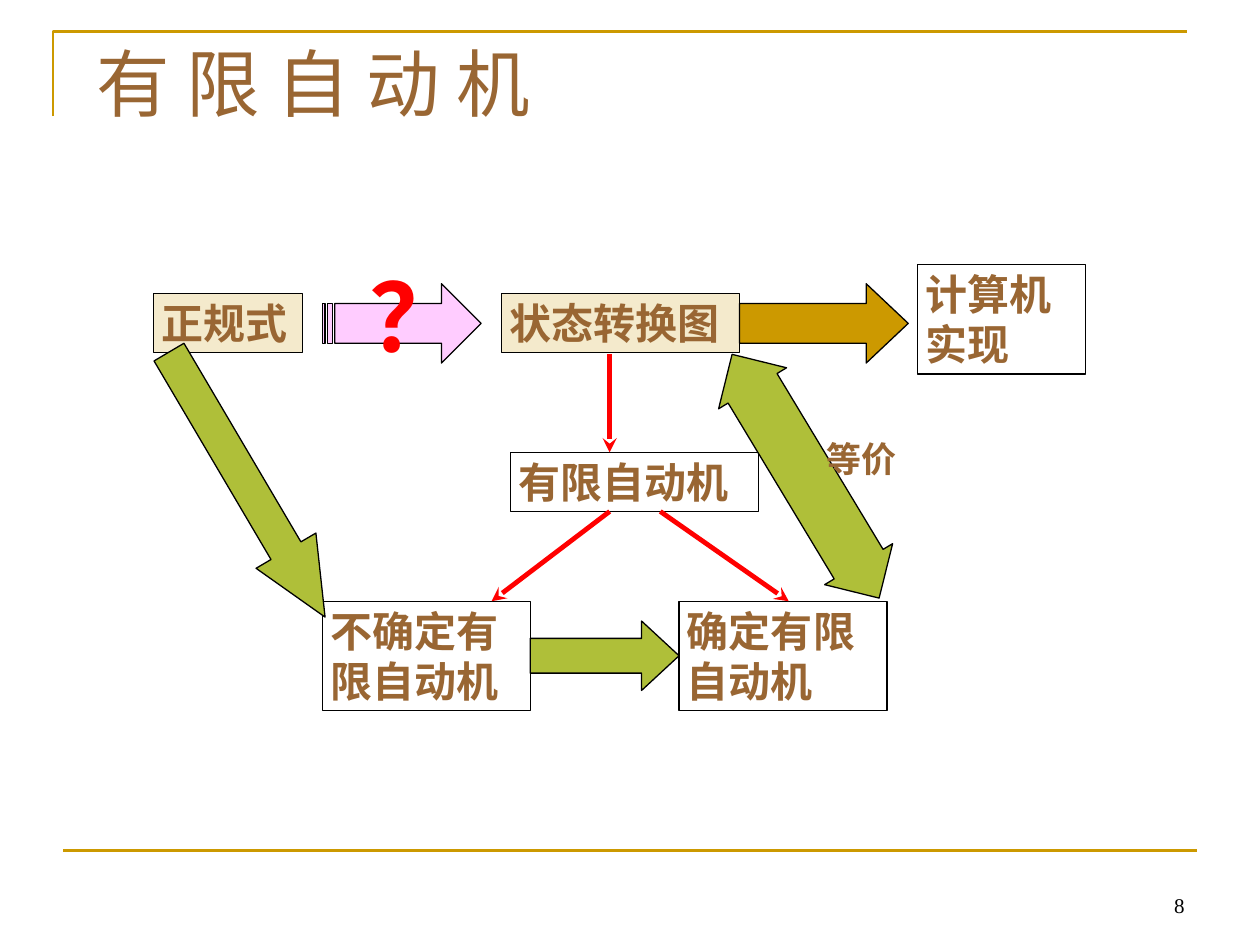
"""Build a slide on how finite automata link regular expressions to code."""
from dataclasses import dataclass

from lxml.etree import SubElement
from pptx import Presentation
from pptx.dml.color import RGBColor
from pptx.enum.shapes import MSO_CONNECTOR, MSO_SHAPE
from pptx.enum.text import MSO_ANCHOR, PP_ALIGN
from pptx.oxml.ns import qn
from pptx.util import Cm, Pt


@dataclass(frozen=True)
class Theme:
    """Hold the colours, fonts and sizes of the slide."""
    gold: str = "CC9900"
    brown: str = "996633"
    green: str = "AFBF39"
    pink: str = "FF00FF"
    red: str = "FF0000"
    black: str = "000000"
    sans: str = "Lato"
    serif: str = "Times New Roman"
    title: float = 42
    query: float = 54
    body: float = 24
    label: float = 20
    number: float = 12
    edge: float = 0.75
    rule: float = 1.5
    link: float = 2.75


THEME = Theme()
TIGHT = {"margin_left": Cm(0.16), "margin_right": Cm(0.16),
         "margin_top": Cm(0.08), "margin_bottom": Cm(0.08)}


def apply(target, values):
    """Set each attribute of target from a dict."""
    for name, value in values.items():
        setattr(target, name, value)


def stroke(line, color, width):
    """Give a line its colour and width."""
    line.color.rgb = RGBColor.from_string(color)
    line.width = Pt(width)


def paint(shape, color, alpha=None):
    """Fill a shape with a colour, which may be see-through, or with none."""
    shape.shadow.inherit = False
    if color is None:
        shape.fill.background()
        return
    shape.fill.solid()
    shape.fill.fore_color.rgb = RGBColor.from_string(color)
    if alpha:
        tint = shape.element.spPr.find(".//" + qn("a:srgbClr"))
        SubElement(tint, qn("a:alpha"), val=str(alpha * 1000))


def write(shape, text, font, frame=TIGHT, align=PP_ALIGN.LEFT):
    """Put formatted text in a shape."""
    body = shape.text_frame
    apply(body, {"word_wrap": True, "vertical_anchor": MSO_ANCHOR.TOP, **frame})
    para = body.paragraphs[0]
    para.text = text
    para.alignment = align
    values = {"name": THEME.sans, "bold": True, "color": THEME.brown, **font}
    para.font.color.rgb = RGBColor.from_string(values.pop("color"))
    apply(para.font, {**values, "size": Pt(values["size"])})


def add_text(slide, place, text, font, **layout):
    """Add a plain text box."""
    box = slide.shapes.add_textbox(*map(Cm, place))
    write(box, text, font, **layout)


def add_box(slide, place, text, fill=None):
    """Add a framed box with a term in it."""
    box = slide.shapes.add_shape(MSO_SHAPE.RECTANGLE, *map(Cm, place))
    paint(box, fill, 20)
    stroke(box.line, THEME.black, THEME.edge)
    write(box, text, {"size": THEME.body})


def add_arrow(slide, kind, place, fill, head, turn=0, alpha=None):
    """Add a block arrow with a given head length and turn."""
    arrow = slide.shapes.add_shape(kind, *map(Cm, place))
    paint(arrow, fill, alpha)
    stroke(arrow.line, THEME.black, THEME.edge)
    arrow.adjustments[0] = 0.5
    arrow.adjustments[1] = head
    arrow.rotation = turn


def add_line(slide, ends, color, width, head=None):
    """Add a straight line, with an arrowhead if one is named."""
    line = slide.shapes.add_connector(MSO_CONNECTOR.STRAIGHT, *map(Cm, ends))
    stroke(line.line, color, width)
    if head:
        SubElement(line.line._get_or_add_ln(), qn("a:tailEnd"), type=head)
    SubElement(line.element.spPr, qn("a:effectLst"))


def add_frame(slide):
    """Add the corner rule at the top and the rule at the foot."""
    start, *rest = [(Cm(x), Cm(y)) for x, y in
                    ((1.07, 2.34), (1.07, 0.64), (23.93, 0.64))]
    path = slide.shapes.build_freeform(*start)
    path.add_line_segments(rest, close=False)
    corner = path.convert_to_shape()
    paint(corner, None)
    stroke(corner.line, THEME.gold, THEME.rule)
    add_line(slide, (1.27, 17.15, 24.13, 17.15), THEME.gold, THEME.rule)


def main():
    """Build and save the slide."""
    deck = Presentation()
    apply(deck, {"slide_width": Cm(25.4), "slide_height": Cm(19.05)})
    slide = deck.slides.add_slide(deck.slide_layouts[6])
    add_frame(slide)
    serif = {"name": THEME.serif, "bold": False}
    add_text(slide, (1.7, 0.64, 21.59, 3.18), "有 限 自 动 机",
             {**serif, "size": THEME.title}, frame={})

    for place, text, fill in (
            ((3.1, 5.92, 3, 1.19), "正规式", THEME.gold),
            ((10.11, 5.92, 4.8, 1.19), "状态转换图", THEME.gold),
            ((18.49, 5.33, 3.4, 2.21), "计算机实现", None),
            ((10.29, 9.12, 5, 1.19), "有限自动机", None),
            ((6.5, 12.12, 4.19, 2.21), "不确定有限自动机", None),
            ((13.69, 12.12, 4.19, 2.21), "确定有限自动机", None)):
        add_box(slide, place, text, fill)

    right = MSO_SHAPE.RIGHT_ARROW
    add_arrow(slide, MSO_SHAPE.STRIPED_RIGHT_ARROW, (6.5, 5.72, 3.2, 1.6),
              THEME.pink, 0.5, alpha=20)
    add_arrow(slide, right, (14.91, 5.72, 3.4, 1.6), THEME.gold, 0.53)
    add_arrow(slide, right, (10.69, 12.52, 3, 1.4), THEME.green, 0.54)
    add_arrow(slide, right, (1.88, 9.07, 6.2, 1.4), THEME.green, 1.11, 59.5)
    add_arrow(slide, MSO_SHAPE.UP_DOWN_ARROW, (15.44, 6.73, 1.6, 5.74),
              THEME.green, 0.72, 328.9)

    for ends in ((12.29, 7.14, 12.29, 9.12), (12.29, 10.31, 9.91, 12.12),
                 (13.31, 10.31, 15.9, 12.12)):
        add_line(slide, ends, THEME.red, THEME.link, "stealth")

    add_text(slide, (7.29, 5.13, 1.8, 2.44), "？",
             {"size": THEME.query, "color": THEME.red})
    add_text(slide, (16.51, 8.74, 3.4, 1.02), "等价", {"size": THEME.label})
    add_text(slide, (18.21, 17.35, 5.92, 1.27), "8",
             {**serif, "size": THEME.number, "color": THEME.black},
             frame={"vertical_anchor": MSO_ANCHOR.BOTTOM}, align=PP_ALIGN.RIGHT)
    deck.save("out.pptx")


if __name__ == "__main__":
    main()
